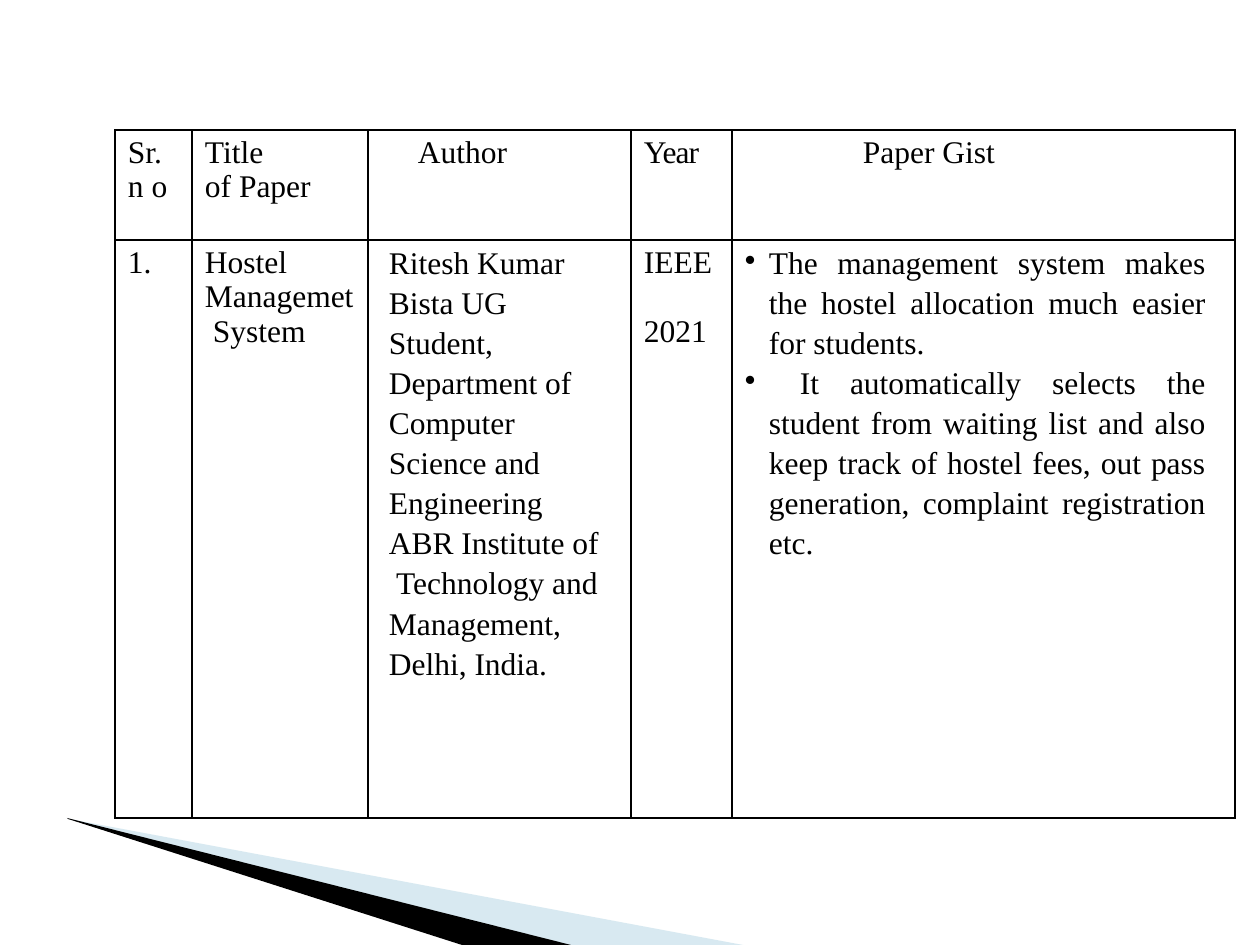
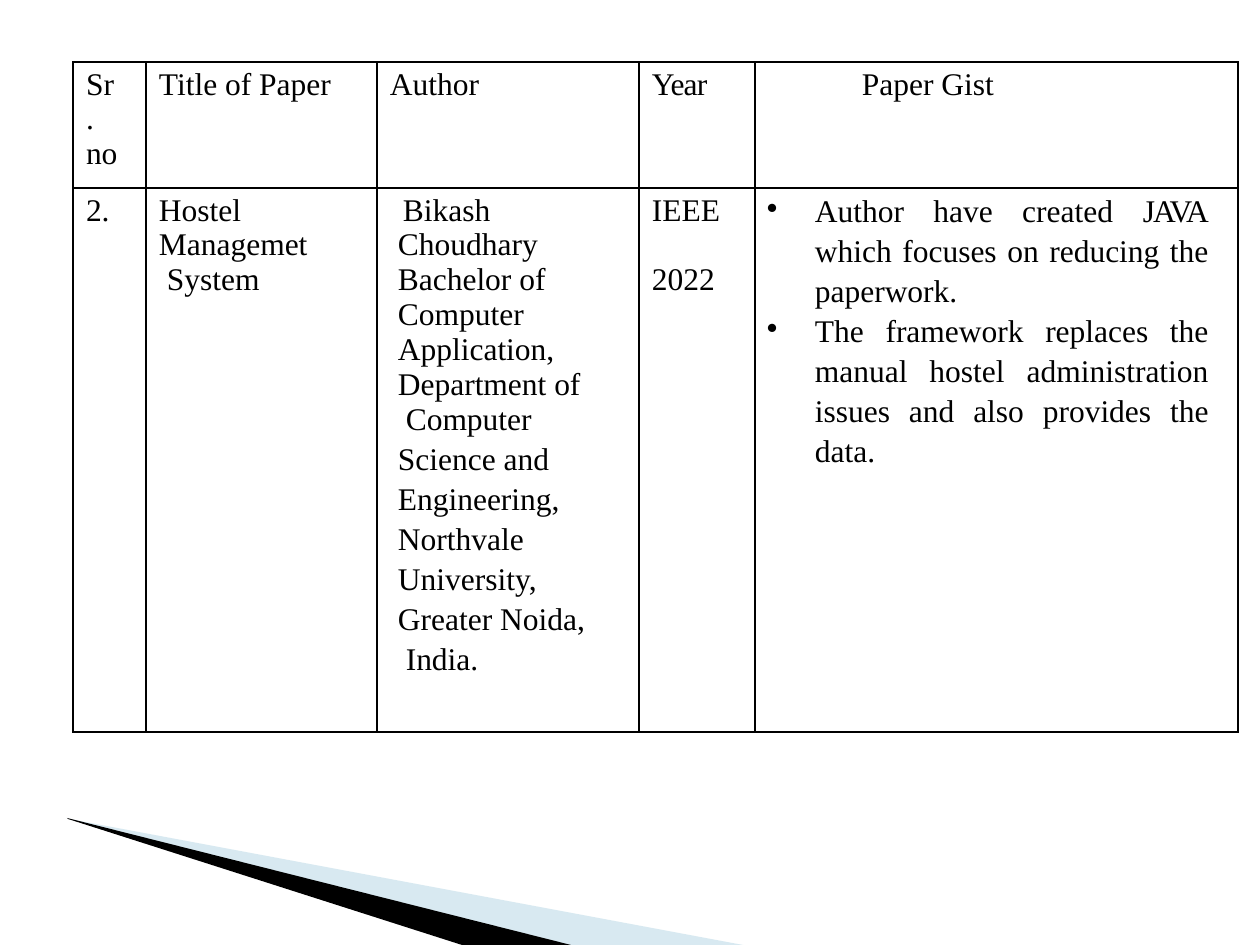
from dataclasses import dataclass

from lxml import etree
from pptx import Presentation
from pptx import util as u
from pptx.dml.color import RGBColor
from pptx.enum import text as t
from pptx.oxml import ns

INK = "000000"
PALE = "9FCADC"
FACE = "Times New Roman"
SIZE = 18
TIGHT = {"Year": -50, "JAVA": -120}  # letter spacing, 1/100 pt
HEADS = ("Author", "Year", "Paper Gist")


@dataclass(frozen=True)
class Para:
    text: str
    left: int = 13
    first: int = 0
    line: float = 1.0
    before: int = 0
    bullet: bool = False


@dataclass(frozen=True)
class Cell:
    paras: tuple[Para, ...]
    top: int = 5
    right: int = 0


@dataclass(frozen=True)
class Grid:
    left: int
    top: int
    cols: tuple[int, ...]
    rows: tuple[int, ...]
    cells: tuple[tuple[Cell, ...], ...]


@dataclass(frozen=True)
class Band:
    points: tuple[tuple[int, int], ...]
    color: str
    alpha: int = 100


BANDS = (
    Band(((69, 819), (570, 945), (743, 945)), PALE, 40),
    Band(((67, 818), (68, 819), (462, 945), (571, 945)), INK),
)


def px(n: int) -> u.Emu:
    return u.Emu(round(n * 914400 / 126))


def rgb(code: str) -> RGBColor:
    return RGBColor.from_string(code)


def sub(node, tag: str, **attrs: str):
    """Append a DrawingML child to node."""
    return etree.SubElement(node, ns.qn(f"a:{tag}"), attrs)


def plain(text: str, left: int = 13) -> Cell:
    return Cell((Para(text, left),))


def head(number: str, title: str, lefts: tuple[int, ...]) -> tuple[Cell, ...]:
    return (plain(number), plain(title), *map(plain, HEADS, lefts))


def year(name: str, when: str) -> Cell:
    return Cell((Para(name), Para(when, before=20)))


def gist(left: int, hang: int, *points: str) -> Cell:
    return Cell(tuple(Para(p, left, -hang, 1.15, bullet=True) for p in points),
                top=1, right=29)


PAPER = plain("Hostel\vManagemet\v System")

GRIDS = (
    Grid(115, 130, (77, 176, 263, 101, 503), (110, 578), (
        head("Sr.\vn o", "Title\vof Paper", (50, 13, 131)),
        (
            plain("1."),
            PAPER,
            Cell((Para(
                "Ritesh Kumar\vBista UG\vStudent,\vDepartment of\vComputer\v"
                "Science and\vEngineering\vABR Institute of\v Technology and\v"
                "Management,\vDelhi, India.", 21, line=1.15),), top=1),
            year("IEEE", "2021"),
            gist(37, 24,
                 "The management system makes the hostel allocation much "
                 "easier for students.",
                 " It automatically selects the student from waiting list and "
                 "also keep track of hostel fees, out pass generation, "
                 "complaint registration etc."),
        ),
    )),
    Grid(73, 62, (73, 231, 262, 116, 483), (126, 544), (
        head("Sr\v.\vno", "Title of Paper", (13, 13, 107)),
        (
            plain("2."),
            PAPER,
            Cell((
                Para("Bikash\vChoudhary\vBachelor of\vComputer\vApplication,\v"
                     "Department of\v Computer", 21, 5),
                Para("Science and\vEngineering,\vNorthvale\vUniversity,\v"
                     "Greater Noida,\v India.", 21, line=1.15),
            )),
            year("IEEE", "2022"),
            gist(60, 48,
                 "Author have created JAVA which focuses on reducing the "
                 "paperwork.",
                 "The framework replaces the manual hostel administration "
                 "issues and also provides the data."),
        ),
    )),
)


def write(par, text: str) -> None:
    """Add text as runs, drawing the tight words closer."""
    word = next((w for w in TIGHT if w in text), None)
    if word is None:
        par.text = text
        return
    for part in text.partition(word):
        if part:
            run = par.add_run()
            run.text = part
            if part == word:
                run.font._element.set("spc", str(TIGHT[word]))


def style(par, para: Para) -> None:
    par.line_spacing = para.line
    par.space_before = u.Pt(para.before)
    props = par._p.get_or_add_pPr()
    props.set("marL", str(px(para.left)))
    props.set("indent", str(px(para.first)))
    if para.bullet:
        par.alignment = t.PP_ALIGN.JUSTIFY
        sub(props, "buChar", char="•")
    par.font.name = FACE
    par.font.size = u.Pt(SIZE)
    par.font.color.rgb = rgb(INK)


def edge(box) -> None:
    """Rule all four sides of a table cell and clear its fill."""
    props = box._tc.get_or_add_tcPr()
    for side in ("lnL", "lnR", "lnT", "lnB"):
        line = sub(props, side, w=str(u.Pt(1)))
        sub(sub(line, "solidFill"), "srgbClr", val=INK)
    box.fill.background()


def fill(box, cell: Cell) -> None:
    box.margin_left = box.margin_bottom = 0
    box.margin_top, box.margin_right = px(cell.top), px(cell.right)
    edge(box)
    frame = box.text_frame
    for i, para in enumerate(cell.paras):
        par = frame.add_paragraph() if i else frame.paragraphs[0]
        write(par, para.text)
        style(par, para)


def draw_band(slide, band: Band) -> None:
    start, *rest = [(px(x), px(y)) for x, y in band.points]
    path = slide.shapes.build_freeform(*start)
    path.add_line_segments(rest)
    shape = path.convert_to_shape()
    shape.shadow.inherit = False
    shape.line.fill.background()
    shape.fill.solid()
    shape.fill.fore_color.rgb = rgb(band.color)
    if band.alpha < 100:
        color = shape._element.spPr.find(".//" + ns.qn("a:srgbClr"))
        sub(color, "alpha", val=str(band.alpha * 1000))


def draw_grid(slide, grid: Grid) -> None:
    table = slide.shapes.add_table(
        len(grid.rows), len(grid.cols), px(grid.left), px(grid.top),
        px(sum(grid.cols)), px(sum(grid.rows))).table
    table.first_row = table.horz_banding = False
    for col, width in zip(table.columns, grid.cols):
        col.width = px(width)
    for row, height, cells in zip(table.rows, grid.rows, grid.cells):
        row.height = px(height)
        for box, cell in zip(row.cells, cells):
            fill(box, cell)


def main() -> None:
    deck = Presentation()
    deck.slide_width, deck.slide_height = px(1260), px(945)
    for grid in GRIDS:
        slide = deck.slides.add_slide(deck.slide_layouts[6])
        for band in BANDS:
            draw_band(slide, band)
        draw_grid(slide, grid)
    deck.save("out.pptx")


if __name__ == "__main__":
    main()
